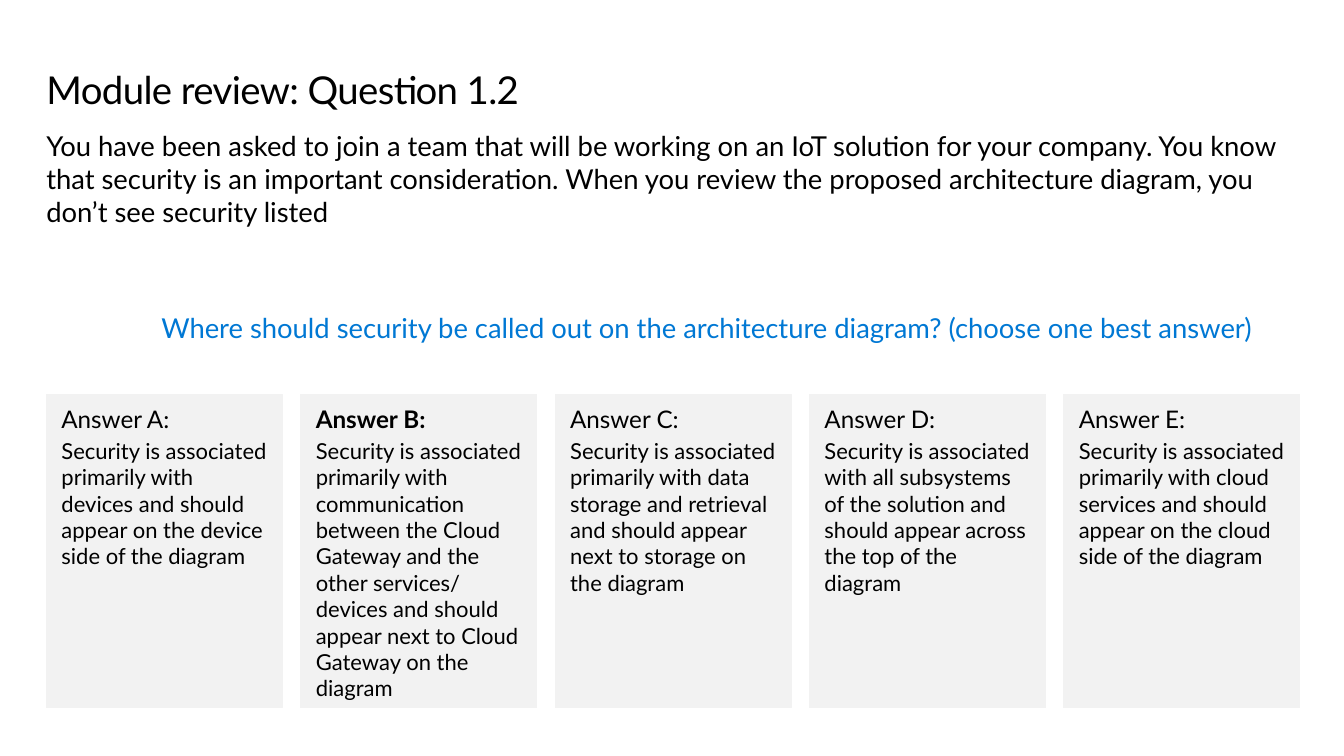
import pptx
import pptx.dml.color
import pptx.enum.shapes
import pptx.enum.text
import pptx.util

Inches = pptx.util.Inches
Pt = pptx.util.Pt
RGBColor = pptx.dml.color.RGBColor
PP_ALIGN = pptx.enum.text.PP_ALIGN
MSO_ANCHOR = pptx.enum.text.MSO_ANCHOR

BLACK = RGBColor(0x00, 0x00, 0x00)
BLUE = RGBColor(0x00, 0x78, 0xD4)
PALE_GREY = RGBColor(0xF2, 0xF2, 0xF2)
FONT_NAME = "Lato"

LEFT = 0.46
CONTENT_WIDTH = 12.43
CARD_TOP = 3.91
CARD_WIDTH = 2.34
CARD_HEIGHT = 3.11
TEXT_SIZE = 19.6

SCENARIO = (
    "You have been asked to join a team that will be working on an IoT solution "
    "for your company. You know that security is an important consideration. "
    "When you review the proposed architecture diagram, you don’t see security listed"
)
QUESTION = (
    "Where should security be called out on the architecture diagram? "
    "(choose one best answer)"
)
# Heading, answer text, bold heading
ANSWERS = [
    ("Answer A:", "Security is associated primarily with devices and should "
     "appear on the device side of the diagram", False),
    ("Answer B:", "Security is associated primarily with communication between "
     "the Cloud Gateway and the other services/\ndevices and should appear next "
     "to Cloud Gateway on the diagram", True),
    ("Answer C:", "Security is associated primarily with data storage and "
     "retrieval and should appear next to storage on the diagram", False),
    ("Answer D:", "Security is associated with all subsystems of the solution "
     "and should appear across the top of the diagram", False),
    ("Answer E:", "Security is associated primarily with cloud services and "
     "should appear on the cloud side of the diagram", False),
]


def set_frame(frame, anchor, left=0, right=0, edge=0):
    frame.word_wrap = True
    frame.auto_size = pptx.enum.text.MSO_AUTO_SIZE.NONE
    frame.vertical_anchor = anchor
    frame.margin_left, frame.margin_right = Inches(left), Inches(right)
    frame.margin_top = frame.margin_bottom = Inches(edge)


def write_para(para, text, size, color=BLACK, bold=False):
    para.text = text
    para.alignment = PP_ALIGN.LEFT
    para.font.name = FONT_NAME
    para.font.size = Pt(size)
    para.font.bold = bold
    para.font.color.rgb = color


def add_title(page, text):
    title = page.shapes.title
    title.left, title.top = Inches(LEFT), Inches(0.68)
    title.width, title.height = Inches(CONTENT_WIDTH), Inches(0.44)
    set_frame(title.text_frame, MSO_ANCHOR.TOP)
    para = title.text_frame.paragraphs[0]
    write_para(para, text, 27.4)
    para.line_spacing = Pt(31.4)
    # Tighten the letter spacing by just under half a point
    para.runs[0]._r.get_or_add_rPr().set("spc", "-43")


def add_text(page, text, left, top, width, height, color, anchor):
    box = page.shapes.add_textbox(
        Inches(left), Inches(top), Inches(width), Inches(height))
    set_frame(box.text_frame, anchor)
    write_para(box.text_frame.paragraphs[0], text, TEXT_SIZE, color)


def add_answer_card(page, left, heading, answer, bold):
    card = page.shapes.add_shape(
        pptx.enum.shapes.MSO_SHAPE.RECTANGLE,
        Inches(left), Inches(CARD_TOP), Inches(CARD_WIDTH), Inches(CARD_HEIGHT))
    card.shadow.inherit = False
    card.fill.solid()
    card.fill.fore_color.rgb = PALE_GREY
    card.line.color.rgb = PALE_GREY
    card.line.width = Pt(0.5)
    frame = card.text_frame
    set_frame(frame, MSO_ANCHOR.TOP, 0.15, 0.13, 0.1)
    write_para(frame.paragraphs[0], heading, 17.3, bold=bold)
    para = frame.add_paragraph()
    write_para(para, answer, 15.7)
    para.space_before = Pt(2.9)


def main():
    deck = pptx.Presentation()
    deck.slide_width, deck.slide_height = Inches(13.33), Inches(7.5)
    page = deck.slides.add_slide(deck.slide_layouts.get_by_name("Title Only"))

    # Title, scenario and question
    add_title(page, "Module review: Question 1.2")
    add_text(page, SCENARIO, LEFT, 1.28, CONTENT_WIDTH, 0.99,
             BLACK, MSO_ANCHOR.TOP)
    add_text(page, QUESTION, 1.6, 2.92, 11.28, 0.66, BLUE, MSO_ANCHOR.MIDDLE)

    # Row of answer cards, spread evenly over the content width
    step = (CONTENT_WIDTH - CARD_WIDTH) / (len(ANSWERS) - 1)
    for index, (heading, answer, bold) in enumerate(ANSWERS):
        add_answer_card(page, LEFT + index * step, heading, answer, bold)

    deck.save("out.pptx")


if __name__ == "__main__":
    main()
